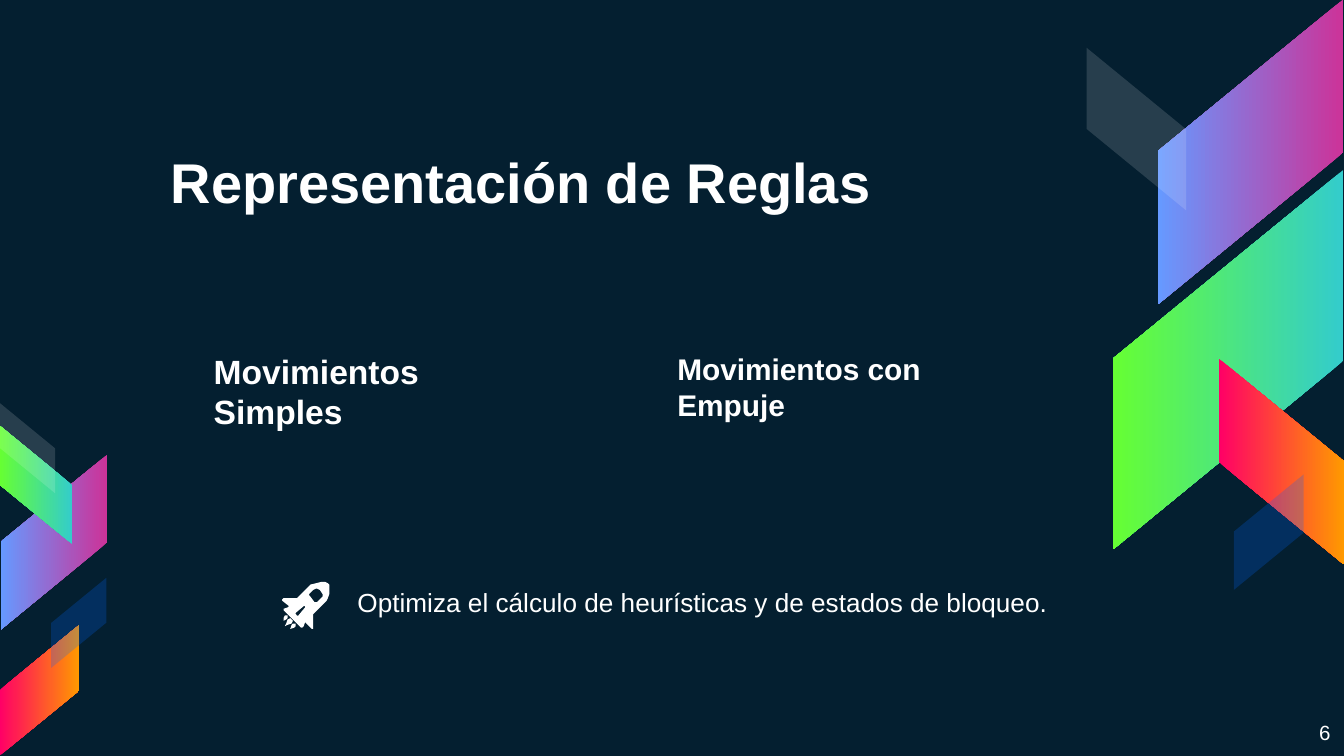
from lxml import etree
from pptx import Presentation
from pptx.dml.color import RGBColor
from pptx.enum import shapes, text
from pptx.oxml import ns
from pptx.util import Inches, Pt

THEME = {
    "font": "Arial", "background": "041F30", "text": "FFFFFF",
    "title": 30, "heading": 18, "subheading": 16, "note": 14, "number": 11,
    "inset": 0.1, "slant": 0.819, "space_before": 6, "line_spacing": 1.0,
    # Two colours make a gradient, a colour and a percentage a translucent fill
    "violet": ("CC3399", "6699FF"), "green": ("33CCCC", "66FF33"),
    "fire": ("FF0066", "FF9900"), "mist": ("FFFFFF", 14), "navy": ("0066FF", 23),
}

# Content: placeholder index, words, size, bold, box
TITLE = (0, "Representación de Reglas", "title", True, (1.17, 1, 6.53, 0.7))
BODIES = [
    (1, "Movimientos Simples", "heading", True, (1.49, 2.51, 2.69, 0.61)),
    (3, "Movimientos con Empuje", "subheading", True, (4.94, 2.51, 2.75, 0.61)),
    (2, "Optimiza el cálculo de heurísticas y de estados de bloqueo.",
     "note", False, (2.56, 4.26, 5.93, 0.61)),
]
NUMBER = ("6", (9.36, 5.26, 0.64, 0.36))

# Ribbons: box before rotation, rotation, mirrored, fill
RIBBONS = [
    ((8.17, 0.44, 2.27, 1.38), 90, True, "violet"),
    ((7.73, 1.82, 2.82, 1.71), 90, True, "green"),
    ((8.77, 2.97, 1.53, 0.93), 270, False, "fire"),
    ((7.85, 0.59, 1.21, 0.74), 270, False, "mist"),
    ((9.01, 3.7, 0.86, 0.52), 270, True, "navy"),
    ((-0.25, 3.64, 1.3, 0.79), 90, True, "violet"),
    ((-0.17, 3.34, 0.88, 0.54), 90, False, "green"),
    ((-0.19, 4.84, 0.97, 0.59), 270, True, "fire"),
    ((-0.13, 3.13, 0.67, 0.41), 270, False, "mist"),
    ((0.25, 4.43, 0.67, 0.41), 270, True, "navy"),
]

# Rocket outlines in hundredths of an inch; the hull has a window and a slot
HULL = [(239, 433), (235, 434), (231, 435), (221, 445), (211, 445), (210, 446),
        (210, 447), (215, 451), (214, 452), (211, 453), (211, 454), (224, 467),
        (225, 467), (226, 466), (227, 463), (232, 468), (233, 468), (233, 457),
        (243, 447), (244, 445), (245, 442), (245, 435), (244, 434), (242, 433)]
WINDOW = [(236, 438), (238, 439), (240, 442), (240, 444), (238, 446), (236, 448),
          (234, 448), (231, 444), (230, 443), (230, 442), (233, 439), (235, 438)]
SLOT = [(226, 451), (227, 451), (227, 452), (222, 458), (221, 458),
        (220, 457), (220, 456)]
LARGE_FLAME = [(216, 460), (214, 461), (213, 464), (212, 466), (214, 465),
               (217, 464), (218, 462), (217, 461)]
RIGHT_FLAME = [(219, 464), (218, 464), (217, 465), (216, 468), (219, 467),
               (220, 466), (220, 464)]
LEFT_FLAME = [(213, 458), (212, 458), (211, 460), (211, 462), (213, 461),
              (214, 460), (214, 458)]
ROCKET = [[HULL, WINDOW, SLOT], [LARGE_FLAME], [RIGHT_FLAME], [LEFT_FLAME]]


def color(value):
    return RGBColor.from_string(value)


def place(shape, box):
    shape.left, shape.top, shape.width, shape.height = map(Inches, box)


def write(shape, words, size, bold=False, align=text.PP_ALIGN.LEFT,
          anchor=text.MSO_ANCHOR.TOP):
    frame = shape.text_frame
    frame.word_wrap = True
    frame.auto_size = text.MSO_AUTO_SIZE.NONE
    frame.vertical_anchor = anchor
    for side in ("left", "top", "right", "bottom"):
        setattr(frame, f"margin_{side}", Inches(THEME["inset"]))
    paragraph = frame.paragraphs[0]
    paragraph.alignment = align
    run = paragraph.add_run()
    run.text = words
    run.font.name = THEME["font"]
    run.font.size = Pt(THEME[size])
    run.font.bold = bold
    run.font.color.rgb = color(THEME["text"])
    return paragraph


def remove_bullet(paragraph):
    properties = paragraph._p.get_or_add_pPr()
    properties.set("marL", "0")
    properties.set("indent", "0")
    etree.SubElement(properties, ns.qn("a:buNone"))


def add_ribbon(slide, box, rotation, mirrored, fill_name):
    shape = slide.shapes.add_shape(
        shapes.MSO_SHAPE.PARALLELOGRAM, *map(Inches, box))
    shape.adjustments[0] = THEME["slant"]
    shape.rotation = rotation
    if mirrored:
        shape._element.spPr.find(ns.qn("a:xfrm")).set("flipH", "1")
    shape.shadow.inherit = False
    shape.line.fill.background()
    first, second = THEME[fill_name]
    if isinstance(second, str):
        shape.fill.gradient()
        shape.fill.gradient_angle = 270
        for stop, value in zip(shape.fill.gradient_stops, (first, second)):
            stop.color.rgb = color(value)
    else:
        shape.fill.solid()
        shape.fill.fore_color.rgb = color(first)
        solid = shape._element.spPr.find(".//" + ns.qn("a:srgbClr"))
        etree.SubElement(solid, ns.qn("a:alpha")).set("val", str(second * 1000))


def add_rocket(slide):
    group = slide.shapes.add_group_shape()
    for contours in ROCKET:
        builder = group.shapes.build_freeform(
            *contours[0][0], scale=Inches(0.01))
        for index, contour in enumerate(contours):
            if index:
                builder.move_to(*contour[0])
            builder.add_line_segments(contour[1:], close=True)
        shape = builder.convert_to_shape()
        shape.shadow.inherit = False
        shape.fill.solid()
        shape.fill.fore_color.rgb = color(THEME["text"])
        shape.line.fill.background()


def main():
    presentation = Presentation()
    presentation.slide_width = Inches(10)
    presentation.slide_height = Inches(10) * 9 // 16  # widescreen
    slide = presentation.slides.add_slide(presentation.slide_layouts[4])
    slide.background.fill.solid()
    slide.background.fill.fore_color.rgb = color(THEME["background"])
    holders = {holder.placeholder_format.idx: holder for holder in slide.placeholders}

    # Decorative ribbons
    for ribbon in RIBBONS:
        add_ribbon(slide, *ribbon)

    # Title
    index, words, size, bold, box = TITLE
    place(holders[index], box)
    write(holders[index], words, size, bold, anchor=text.MSO_ANCHOR.BOTTOM)

    # Headings and note
    for index, words, size, bold, box in BODIES:
        place(holders[index], box)
        paragraph = write(holders[index], words, size, bold)
        paragraph.space_before = Pt(THEME["space_before"])
        paragraph.line_spacing = THEME["line_spacing"]
        remove_bullet(paragraph)

    # The layout's unused placeholder
    spare = holders[4]._element
    spare.getparent().remove(spare)

    # Slide number and rocket
    words, box = NUMBER
    number = slide.shapes.add_textbox(*map(Inches, box))
    write(number, words, "number", align=text.PP_ALIGN.RIGHT)
    add_rocket(slide)

    presentation.save("out.pptx")


if __name__ == "__main__":
    main()
